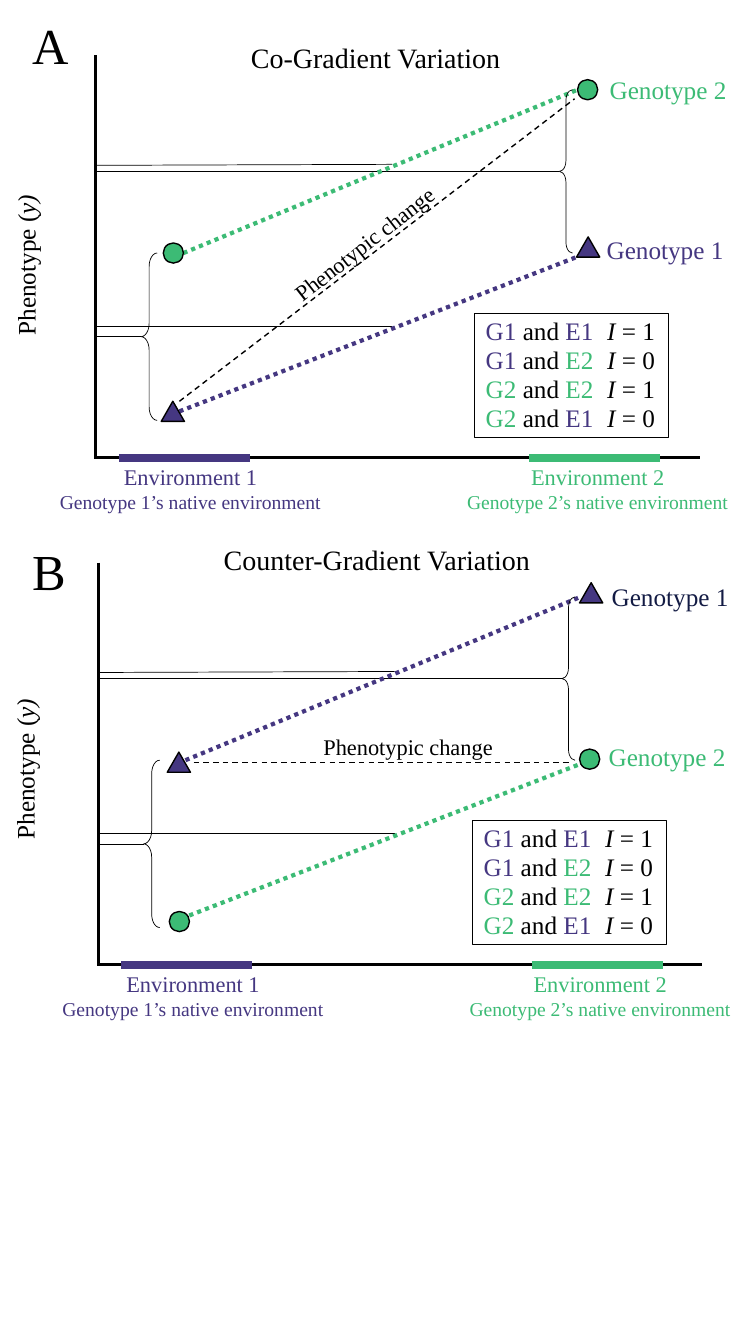
from itertools import cycle

from lxml.etree import SubElement
from pptx import Presentation
from pptx.dml.color import RGBColor
from pptx.enum.dml import MSO_LINE
from pptx.enum.shapes import MSO_CONNECTOR, MSO_SHAPE
from pptx.enum.text import MSO_AUTO_SIZE, PP_ALIGN
from pptx.oxml.ns import qn
from pptx.util import Inches, Pt

VIOLET, GREEN, NAVY, BLACK = "453781", "3CBB75", "131B44", "000000"

deck = Presentation()
deck.slide_width, deck.slide_height = Inches(7.5), Inches(13.33)
slide = deck.slides.add_slide(deck.slide_layouts[6])

# Grid of 75 columns and 133.3 rows
COL = deck.slide_width / 75
ROW = deck.slide_height / 133.3


def rule(x1, y1, x2, y2, colour=BLACK, weight=0.5, dash=None):
    line = slide.shapes.add_connector(
        MSO_CONNECTOR.STRAIGHT, int(x1 * COL), int(y1 * ROW), int(x2 * COL), int(y2 * ROW))
    line.line.color.rgb = RGBColor.from_string(colour)
    line.line.width = Pt(weight)
    if dash:
        line.line.dash_style = dash
    SubElement(line._element.spPr, qn("a:effectLst"))


def write(x, y, width, height, size, pieces, colours, turn=0):
    """Write the pieces as runs, the colours in turn, and return the runs."""
    box = slide.shapes.add_textbox(
        int(x * COL), int(y * ROW), int(width * COL), int(height * ROW))
    box.rotation = turn
    frame = box.text_frame
    frame.word_wrap = False
    frame.auto_size = MSO_AUTO_SIZE.SHAPE_TO_FIT_TEXT
    frame.text = pieces[0]
    for piece in pieces[1:]:
        frame.paragraphs[0].add_run().text = piece
    runs = [run for paragraph in frame.paragraphs for run in paragraph.runs]
    if len(frame.paragraphs) > 1:
        for paragraph in frame.paragraphs:
            paragraph.alignment = PP_ALIGN.CENTER
    for run, colour in zip(runs, cycle(colours)):
        run.font.name = "Times New Roman"
        run.font.size = Pt(size)
        run.font.color.rgb = RGBColor.from_string(colour)
    return runs


panels = [
    {
        "letter": ("A", 0.9, 5.7), "title": ("Co-Gradient Variation", 23.9, 3.5, 26.9),
        "dx": 0, "dy": 0, "axis_label": (-5.5, 24.2), "legend": (47.1, 31.1),
        "upper": GREEN, "lower": VIOLET,
        "upper_trend": (18.2, 25.1, 57.3, 8.9), "lower_trend": (17.8, 40.8, 57.2, 25.5),
        "change": (17.8, 39.8, 57, 9.8), "change_label": (26.7, 22.2, 322),
        "circles": [(16.2, 24.1), (57.3, 7.9)], "triangles": [(16, 39.8), (57.2, 23.5)],
        "genotypes": [("Genotype 1", 59.2, 22.7, VIOLET), ("Genotype 2", 59.5, 6.9, GREEN)],
    },
    {
        "letter": ("B", 53.1, 5.4), "title": ("Counter-Gradient Variation", 21.2, 53.3, 32.6),
        "dx": 0.25, "dy": 50.3, "axis_label": (-5.6, 74.2), "legend": (46.9, 81.4),
        "upper": VIOLET, "lower": GREEN,
        "upper_trend": (18.4, 75.4, 57.6, 59.2), "lower_trend": (18, 91.1, 57.5, 75.8),
        "change": (19.2, 75.6, 56.5, 75.6), "change_label": (31.1, 72.2, 0),
        "circles": [(57.5, 74.3), (16.8, 90.4)], "triangles": [(57.5, 57.8), (16.6, 74.6)],
        "genotypes": [("Genotype 2", 59.4, 73, GREEN), ("Genotype 1", 59.7, 57.2, NAVY)],
    },
]
environments = [("1", 11.8, 24.8, 4.8, VIOLET), ("2", 52.5, 65.5, 45.2, GREEN)]
legend_rows = [
    (("G1 ", "and", " E1"), (VIOLET, BLACK, VIOLET), 1),
    (("G1 ", "and ", "E2"), (VIOLET, BLACK, GREEN), 0),
    (("G2 ", "and ", "E2"), (GREEN, BLACK, GREEN), 1),
    (("G2 ", "and", " E1"), (GREEN, BLACK, VIOLET), 0),
]

for panel in panels:
    dx, dy = panel["dx"], panel["dy"]

    # Axes
    rule(9.5 + dx, 5.5 + dy, 9.5 + dx, 45.5 + dy, weight=2.25)
    rule(9.4 + dx, 45.4 + dy, 69.4 + dx, 45.4 + dy, weight=2.25)
    axis_runs = write(*panel["axis_label"], 16.1, 4, 18, ["Phenotype (", "y)"], [BLACK], 270)
    axis_runs[1].font.italic = True

    # Environments along the horizontal axis
    for number, start, end, label_left, colour in environments:
        rule(start + dx, 45.4 + dy, end + dx, 45.4 + dy, colour, 6)
        label = f"Environment {number}\nGenotype {number}’s native environment"
        native = write(label_left + dx, 45.45 + dy, 28.2, 8.8, 16, [label], [colour])[1]
        native.font.size = Pt(14)

    # Guides from the vertical axis
    for x1, y1, x2, y2 in [(9.6, 33.4, 14, 33.4), (9.5, 16.4, 38.9, 16.3),
                           (9.4, 32.4, 38.9, 32.4), (9.5, 17, 55.5, 17)]:
        rule(x1 + dx, y1 + dy, x2 + dx, y2 + dy)

    # Trends of both genotypes and the phenotypic change
    rule(*panel["upper_trend"], panel["upper"], 3, MSO_LINE.ROUND_DOT)
    rule(*panel["lower_trend"], panel["lower"], 3, MSO_LINE.ROUND_DOT)
    rule(*panel["change"], weight=1, dash=MSO_LINE.DASH)
    change_left, change_top, slope = panel["change_label"]
    write(change_left, change_top, 19.1, 3.7, 16, ["Phenotypic change"], [BLACK], slope)

    # Braces, markers and legend frame
    legend_left, legend_top = panel["legend"]
    outlines = [
        (MSO_SHAPE.LEFT_BRACE, 14 + dx, 25.1 + dy, 1.6, 16.6, None, 0.5),
        (MSO_SHAPE.LEFT_BRACE, 55.5 + dx, 8.9 + dy, 1.3, 16.2, None, 0.5),
        (MSO_SHAPE.RECTANGLE, legend_left, legend_top, 19.2, 12.3, None, 1),
    ]
    outlines += [(MSO_SHAPE.OVAL, x, y, 2, 2, GREEN, 1) for x, y in panel["circles"]]
    outlines += [(MSO_SHAPE.ISOSCELES_TRIANGLE, x, y, 2.3, 2, VIOLET, 1)
                 for x, y in panel["triangles"]]
    for kind, x, y, width, height, fill, weight in outlines:
        outline = slide.shapes.add_shape(
            kind, int(x * COL), int(y * ROW), int(width * COL), int(height * ROW))
        outline.shadow.inherit = False
        outline.line.color.rgb = RGBColor.from_string(BLACK)
        outline.line.width = Pt(weight)
        if fill:
            outline.fill.solid()
            outline.fill.fore_color.rgb = RGBColor.from_string(fill)
        else:
            outline.fill.background()
        if kind == MSO_SHAPE.LEFT_BRACE:
            outline.adjustments[0] = 0.83

    # Panel letter, title and genotype names
    letter, letter_top, letter_width = panel["letter"]
    write(2.2, letter_top, letter_width, 7.1, 36, [letter], [BLACK])
    title, title_left, title_top, title_width = panel["title"]
    write(title_left, title_top, title_width, 4.4, 20, [title], [BLACK])
    for genotype, x, y, colour in panel["genotypes"]:
        write(x, y, 13.7, 4, 18, [genotype], [colour])

    # Legend rows
    for index, (pairing, colours, value) in enumerate(legend_rows):
        row_top = legend_top - 0.3 + 2.88 * index
        write(legend_left + 0.1, row_top, 13.4, 4, 18, pairing, colours)
        symbol = write(legend_left + 12.15, row_top, 6.8, 4, 18, ["I", f" = {value}"], [BLACK])[0]
        symbol.font.italic = True

deck.save("out.pptx")
